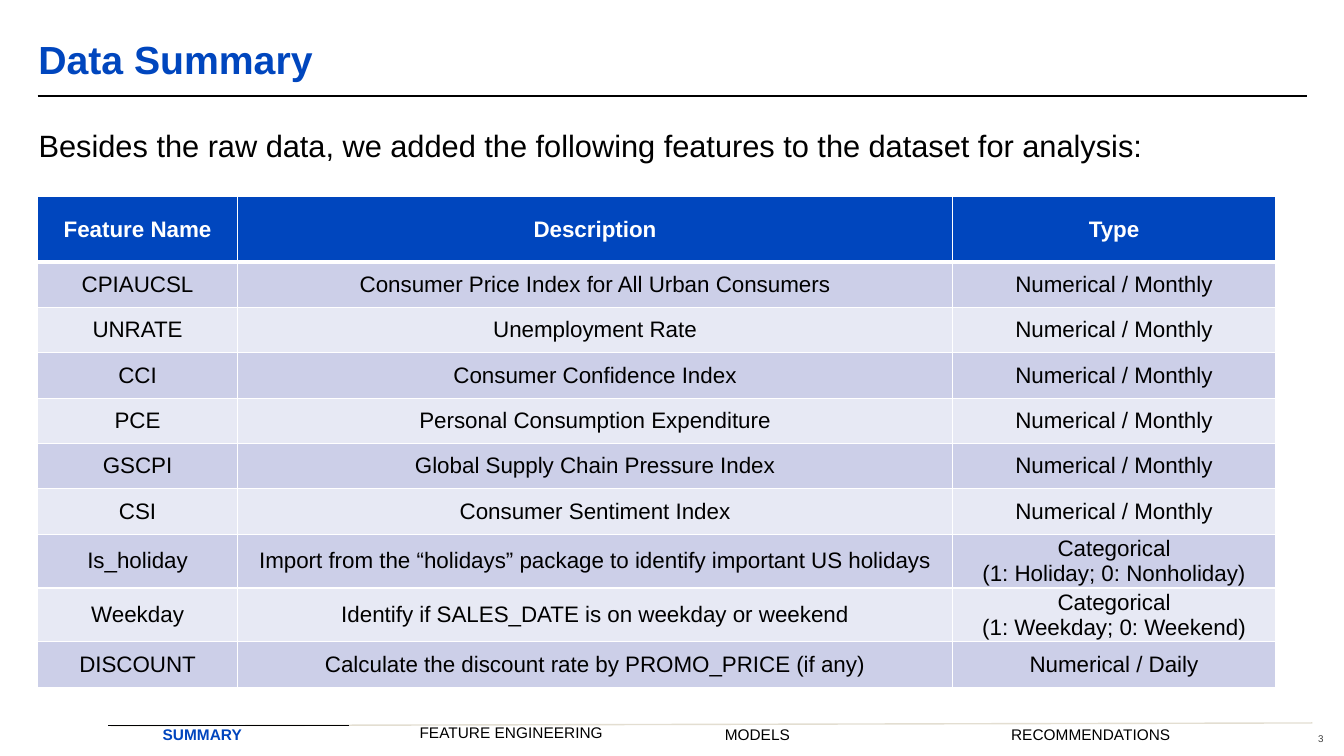
import pptx
import pptx.util
import pptx.dml.color
import pptx.enum.shapes
import pptx.enum.text
import pptx.oxml
import pptx.oxml.ns
import lxml.etree

Pt = pptx.util.Pt
ALIGN = pptx.enum.text.PP_ALIGN
ANCHOR = pptx.enum.text.MSO_ANCHOR
FONT = "Arial"
BLUE, BLACK, WHITE = "0046BE", "000000", "FFFFFF"
BANDS = ("CCCFE8", "E7E9F4")

MONTHLY = "Numerical / Monthly"
FEATURES = [
    ("Feature Name", "Description", "Type"),
    ("CPIAUCSL", "Consumer Price Index for All Urban Consumers", MONTHLY),
    ("UNRATE", "Unemployment Rate", MONTHLY),
    ("CCI", "Consumer Confidence Index", MONTHLY),
    ("PCE", "Personal Consumption Expenditure", MONTHLY),
    ("GSCPI", "Global Supply Chain Pressure Index", MONTHLY),
    ("CSI", "Consumer Sentiment Index", MONTHLY),
    ("Is_holiday", "Import from the “holidays” package to identify important US holidays",
     "Categorical\n(1: Holiday; 0: Nonholiday)"),
    ("Weekday", "Identify if SALES_DATE is on weekday or weekend",
     "Categorical\n(1: Weekday; 0: Weekend)"),
    ("DISCOUNT", "Calculate the discount rate by PROMO_PRICE (if any)", "Numerical / Daily"),
]


def rgb(color):
    return pptx.dml.color.RGBColor.from_string(color)


def style(paragraph, size, color, bold=False, align=ALIGN.LEFT):
    paragraph.alignment = align
    font = paragraph.font
    font.name, font.size, font.bold = FONT, Pt(size), bold
    font.color.rgb = rgb(color)


def add_text(slide, box, text, size, color, bold=False, align=ALIGN.LEFT,
             anchor=ANCHOR.TOP, spacing=1.0, top_inset=0):
    frame = slide.shapes.add_textbox(*map(Pt, box)).text_frame
    frame.word_wrap = True
    frame.vertical_anchor = anchor
    frame.margin_left = frame.margin_right = frame.margin_bottom = 0
    frame.margin_top = Pt(top_inset)
    frame.text = text
    paragraph = frame.paragraphs[0]
    paragraph.line_spacing = spacing
    style(paragraph, size, color, bold, align)


def add_rule(slide, start, end, color, width):
    rule = slide.shapes.add_connector(
        pptx.enum.shapes.MSO_CONNECTOR.STRAIGHT, *map(Pt, start + end))
    rule.line.color.rgb = rgb(color)
    rule.line.width = Pt(width)
    properties = rule._element.spPr
    lxml.etree.SubElement(properties, pptx.oxml.ns.qn("a:effectLst"))


def set_borders(cell, color, widths):
    """Draw the left, right, top and bottom borders, in that order."""
    properties = cell._tc.get_or_add_tcPr()
    for side, width in zip("LRTB", widths):
        properties.append(pptx.oxml.parse_xml(
            f'<a:ln{side} {pptx.oxml.ns.nsdecls("a")} w="{Pt(width)}"><a:solidFill>'
            f'<a:srgbClr val="{color}"/></a:solidFill></a:ln{side}>'))


def add_heading(slide, left, top, width, height):
    add_text(slide, (left, top, width, height), "Data Summary", 28, BLUE, bold=True,
             anchor=ANCHOR.MIDDLE, spacing=0.8)
    rule_y = top + height + 1.5
    add_rule(slide, (left - 0.5, rule_y), (left + width - 0.5, rule_y), BLACK, 1.25)


def add_features(slide, left, top, column_widths, header_height, row_height):
    heights = [header_height] + [row_height] * (len(FEATURES) - 1)
    table = slide.shapes.add_table(
        len(FEATURES), len(column_widths), Pt(left), Pt(top),
        Pt(sum(column_widths)), Pt(sum(heights))).table
    for column, width in zip(table.columns, column_widths):
        column.width = Pt(width)
    for r, (height, feature) in enumerate(zip(heights, FEATURES)):
        table.rows[r].height = Pt(height)
        header = r == 0
        for c, text in enumerate(feature):
            cell = table.cell(r, c)
            set_borders(cell, WHITE, (1, 1, 3 if r == 1 else 1, 3 if header else 1))
            cell.fill.solid()
            cell.fill.fore_color.rgb = rgb(BLUE if header else BANDS[(r - 1) % 2])
            cell.margin_left = cell.margin_right = cell.margin_top = cell.margin_bottom = 0
            cell.vertical_anchor = ANCHOR.MIDDLE
            cell.text = text
            for paragraph in cell.text_frame.paragraphs:
                style(paragraph, 16, WHITE if header else BLACK, header, ALIGN.CENTER)


def add_progress(slide, left, top, width, height):
    """Place the section names under a rule, with the current section marked."""
    rule_y = top + 17.3
    add_rule(slide, (left + 2, rule_y), (left + width, rule_y - 2), "E3DED1", 1)
    sections = [("SUMMARY", 39, 13.2), ("FEATURE ENGINEERING", 222.5, 10.2),
                ("MODELS", 440.5, 13.2), ("RECOMMENDATIONS", 645, 13.2)]
    for name, offset, spacing in sections:
        current = name == "SUMMARY"
        drop = 3.6 if spacing < 13 else 0
        add_text(slide, (left + offset, top + drop, 173.5, height - drop), name, 11,
                 "0045BE" if current else BLACK, bold=current,
                 spacing=Pt(spacing), top_inset=20)
    add_rule(slide, (left, rule_y), (left + 172, rule_y), BLACK, 1)


def main():
    deck = pptx.Presentation()
    deck.slide_width, deck.slide_height = Pt(960), Pt(540)
    slide = deck.slides.add_slide(deck.slide_layouts[6])
    add_heading(slide, 27.4, 23, 907, 44)
    add_text(slide, (27.6, 93.6, 905.8, 30),
             "Besides the raw data, we added the following features to the dataset for analysis:",
             22, BLACK, spacing=0.9)
    add_features(slide, 26.8, 140.4, (143, 510.5, 231), 46.8, 32.4)
    add_progress(slide, 77.2, 501.1, 860.2, 34.6)
    add_text(slide, (928.8, 523.4, 16.6, 11.5), "3", 7, "404040", align=ALIGN.RIGHT)
    deck.save("out.pptx")


if __name__ == "__main__":
    main()
